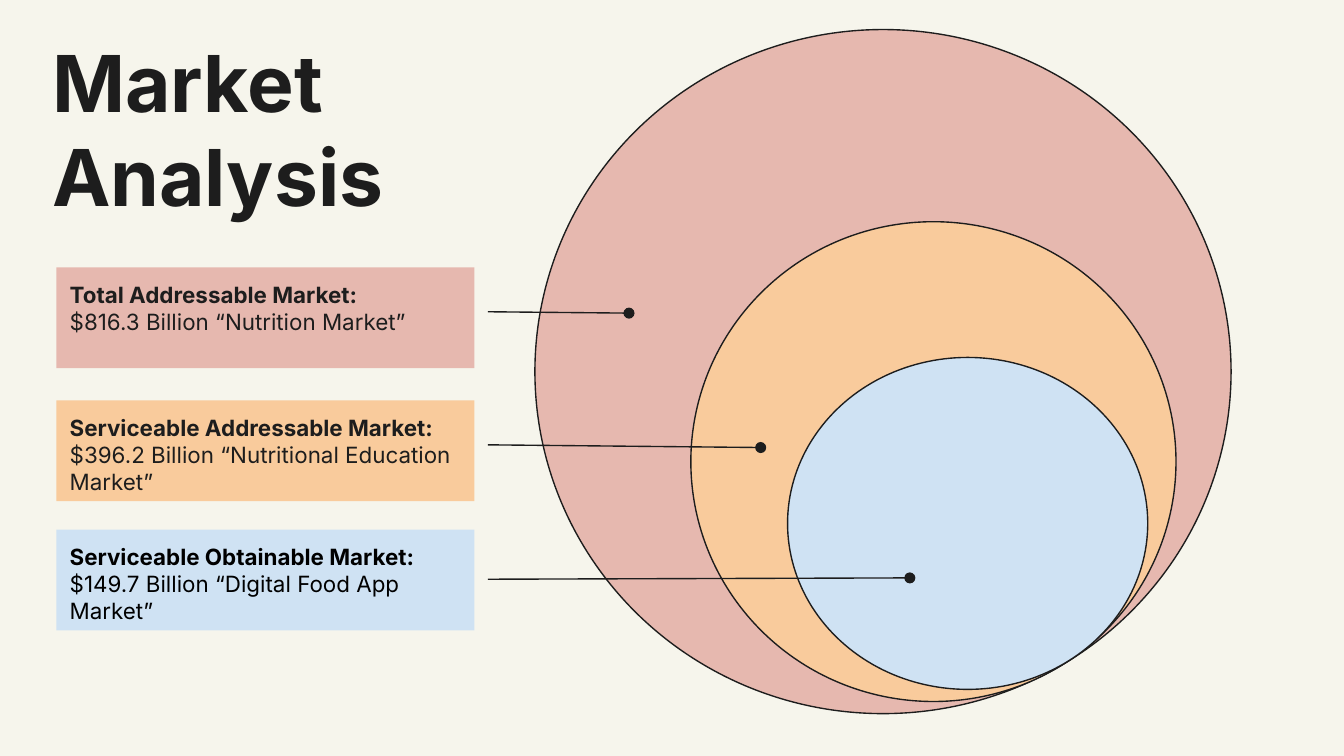
from dataclasses import dataclass

from lxml import etree
from pptx import Presentation
from pptx.dml.color import RGBColor
from pptx.enum.shapes import MSO_CONNECTOR, MSO_SHAPE
from pptx.enum.text import MSO_ANCHOR, PP_ALIGN
from pptx.oxml.ns import qn
from pptx.util import Inches, Pt

OVAL = MSO_SHAPE.OVAL
RECTANGLE = MSO_SHAPE.RECTANGLE
STRAIGHT = MSO_CONNECTOR.STRAIGHT
TOP = MSO_ANCHOR.TOP
LEFT = PP_ALIGN.LEFT


@dataclass(frozen=True)
class Theme:
    font: str = "Inter"
    background: str = "F6F5EC"
    ink: str = "1D1D1D"
    black: str = "000000"
    rose: str = "E6B8AF"
    orange: str = "F9CB9C"
    blue: str = "CFE2F3"
    title_size: float = 42
    body_size: float = 12
    line_width: float = 0.75


THEME = Theme()
INSET = 0.1
LABEL_LEFT, LABEL_WIDTH, LABEL_HEIGHT = 0.42, 3.11, 0.75
LEADER_LEFT = LABEL_LEFT + LABEL_WIDTH + 0.1

# Name, value, fill, text colour, label top, circle box, leader start y, leader end
MARKETS = [
    ("Total Addressable Market:", "$816.3 Billion “Nutrition Market”",
     THEME.rose, THEME.ink, 1.99, (3.98, 0.22, 5.18, 5.09), 2.32, (4.68, 2.33)),
    ("Serviceable Addressable Market:", "$396.2 Billion “Nutritional Education Market”",
     THEME.orange, THEME.ink, 2.98, (5.14, 1.65, 3.61, 3.57), 3.31, (5.66, 3.33)),
    ("Serviceable Obtainable Market:", "$149.7 Billion “Digital Food App Market”",
     THEME.blue, THEME.black, 3.94, (5.86, 2.66, 2.68, 2.47), 4.31, (6.77, 4.3)),
]


def rgb(color):
    return RGBColor.from_string(color)


def inches(values):
    return [Inches(value) for value in values]


def write_text(shape, lines, size, color):
    """Write the lines as left-aligned paragraphs, the first one in bold."""
    text_frame = shape.text_frame
    text_frame.word_wrap = True
    text_frame.vertical_anchor = TOP
    text_frame.margin_left = text_frame.margin_right = Inches(INSET)
    text_frame.margin_top = text_frame.margin_bottom = Inches(INSET)
    text_frame.text = "\n".join(lines)
    for index, paragraph in enumerate(text_frame.paragraphs):
        paragraph.alignment = LEFT
        for run in paragraph.runs:
            run.font.name = THEME.font
            run.font.size = Pt(size)
            run.font.bold = index == 0
            run.font.color.rgb = rgb(color)


def style_line(line):
    line.color.rgb = rgb(THEME.ink)
    line.width = Pt(THEME.line_width)


def add_title(slide, box):
    title = slide.shapes.add_textbox(*inches(box))
    write_text(title, ["Market Analysis"], THEME.title_size, THEME.ink)


def add_filled_shape(slide, kind, box, fill):
    shape = slide.shapes.add_shape(kind, *inches(box))
    shape.shadow.inherit = False
    shape.fill.solid()
    shape.fill.fore_color.rgb = rgb(fill)
    return shape


def add_circle(slide, box, fill):
    circle = add_filled_shape(slide, OVAL, box, fill)
    style_line(circle.line)


def add_label(slide, box, lines, fill, color):
    label = add_filled_shape(slide, RECTANGLE, box, fill)
    label.line.fill.background()
    write_text(label, lines, THEME.body_size, color)


def add_leader(slide, start, end):
    """Draw a line from a label to its circle, ending in a dot."""
    leader = slide.shapes.add_connector(STRAIGHT, *inches(start + end))
    style_line(leader.line)
    line_element = leader.line._get_or_add_ln()
    etree.SubElement(line_element, qn("a:tailEnd"), type="oval", w="med", len="med")
    etree.SubElement(leader._element.spPr, qn("a:effectLst"))


def build_market_slide(slide):
    slide.background.fill.solid()
    slide.background.fill.fore_color.rgb = rgb(THEME.background)
    add_title(slide, (0.29, 0.15, 2.72, 1.62))
    for _, _, fill, _, _, circle_box, _, _ in MARKETS:
        add_circle(slide, circle_box, fill)
    for name, value, fill, color, top, _, leader_y, leader_end in MARKETS:
        label_box = (LABEL_LEFT, top, LABEL_WIDTH, LABEL_HEIGHT)
        add_label(slide, label_box, [name, value], fill, color)
        add_leader(slide, (LEADER_LEFT, leader_y), leader_end)


def main():
    presentation = Presentation()
    presentation.slide_width = Inches(10)
    presentation.slide_height = presentation.slide_width * 9 // 16
    blank_layout = presentation.slide_layouts[6]
    build_market_slide(presentation.slides.add_slide(blank_layout))
    presentation.save("out.pptx")


if __name__ == "__main__":
    main()
